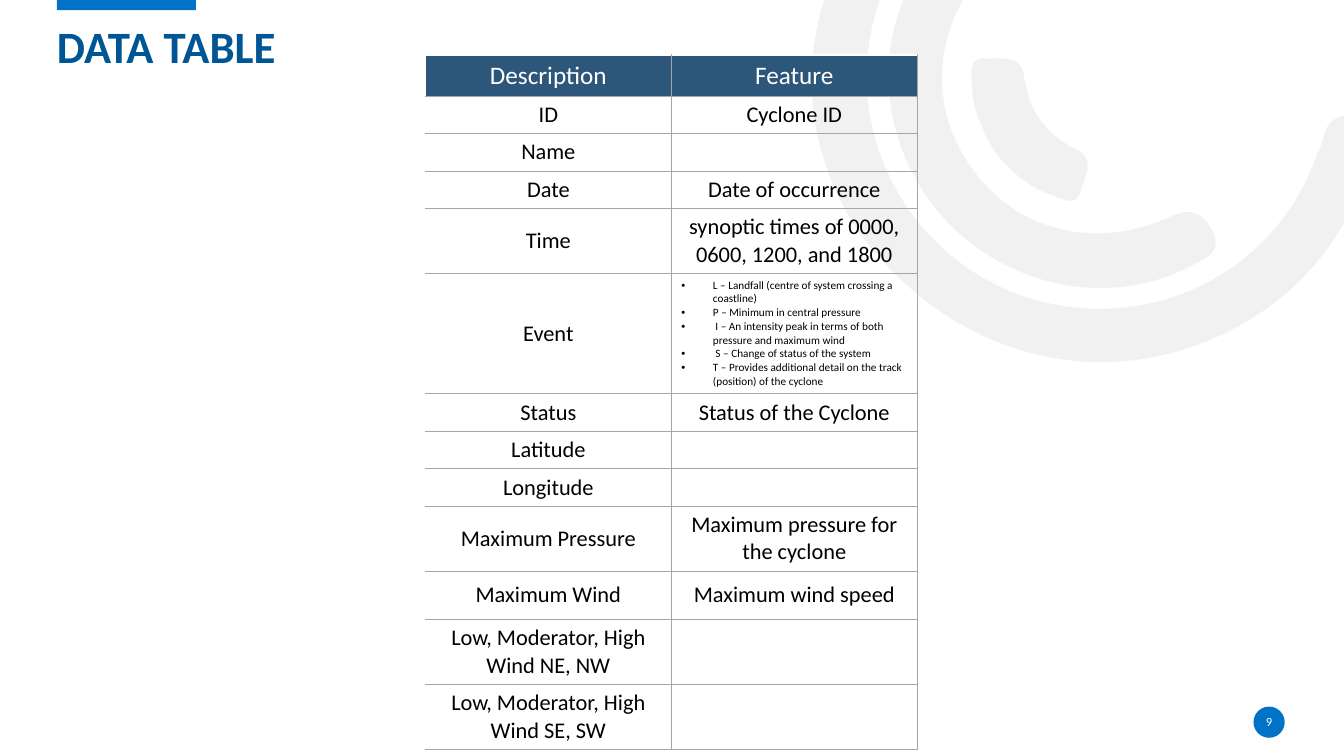
from dataclasses import dataclass

from lxml import etree
from pptx import Presentation
from pptx.dml.color import RGBColor
from pptx.enum.shapes import MSO_SHAPE
from pptx.enum.text import MSO_ANCHOR, MSO_AUTO_SIZE, PP_ALIGN
from pptx.oxml.ns import qn
from pptx.util import Emu, Inches, Pt

RECTANGLE, OVAL = MSO_SHAPE.RECTANGLE, MSO_SHAPE.OVAL
MIDDLE, BOTTOM = MSO_ANCHOR.MIDDLE, MSO_ANCHOR.BOTTOM
LEFT, CENTER = PP_ALIGN.LEFT, PP_ALIGN.CENTER
NO_AUTOFIT = MSO_AUTO_SIZE.NONE

FONT, BULLET_FONT = "Calibri", "Arial"
WHITE, BLACK, BLUE, TITLE_BLUE = "FFFFFF", "000000", "0072C7", "005695"
HEADER_BLUE, RULE_GREY, ARC_GREY = "2C567A", "A6A6A6", "E7E6E6"
ARC_OPACITY = 53
GRID_CELL = Inches(0.1)
BULLET_INDENT = 3.13

Point = tuple[float, float]
Curve = tuple[float, float, float, float, float, float]


@dataclass
class Area:
    column: float
    row: float
    columns: float
    rows: float

    def emu(self) -> tuple[Emu, ...]:
        return tuple(map(grid, (self.column, self.row, self.columns, self.rows)))


@dataclass
class Block:
    preset: int
    area: Area
    color: str
    line: str | None = None


@dataclass
class Arc:
    start: Point
    curves: list[Curve]


@dataclass
class TableRow:
    description: str
    feature: str | list[str] = ""
    height: float = 3


ARCS = [
    Arc((85.1, 22.9), [
        (79.9, 14.9, 78.7, 5, 83.8, -5), (89, -15.2, 97.6, -20.3, 109, -20.7),
        (110.5, -20.7, 112.1, -21, 113.1, -19.5), (114.4, -17.5, 112.7, -15.4, 109.8, -15.4),
        (96.7, -15.4, 86.5, -5.9, 86, 6.8), (85.6, 18.1, 93.6, 28.1, 104.6, 30.2),
        (116, 32.4, 127, 26.1, 130.7, 15.2), (130.9, 14.8, 131.1, 14.4, 131.2, 14),
        (131.6, 11.9, 132.7, 11.1, 134.9, 11.7), (137.3, 12.4, 136.7, 14.1, 136.1, 15.6),
        (133.4, 24.5, 127.8, 30.7, 119.1, 34.1), (107, 38.7, 93.6, 34.5, 85.1, 22.9),
    ]),
    Arc((92.2, 19.9), [
        (86.2, 11.5, 86.9, 0.7, 94, -6.8), (95.1, -7.9, 96.2, -9.5, 98, -7.8),
        (99.5, -6.4, 99.7, -5, 97.9, -3.2), (92.5, 2.6, 92, 10.8, 96.5, 16.8),
        (100.8, 22.9, 108.8, 24.9, 116.1, 21.5), (118.2, 20.5, 119.3, 21.2, 120.3, 22.9),
        (121.3, 25, 119.7, 25.6, 118.3, 26.3), (109.6, 31, 98.3, 28.2, 92.2, 19.9),
    ]),
    Arc((98.7, 15.1), [
        (97.5, 13, 96.4, 10.7, 96.4, 8.2), (96.4, 7.3, 96.1, 5.7, 97.6, 5.8),
        (99.2, 5.9, 101.3, 5.3, 101.6, 7.6), (102.1, 11, 103.6, 13.2, 106.7, 14.8),
        (108.8, 15.7, 107.6, 17.6, 107.2, 18.9), (106.8, 20.6, 105.5, 19.8, 104.5, 19.4),
        (102.1, 18.7, 100.3, 17, 98.7, 15.1),
    ]),
]

BLOCKS = [
    Block(RECTANGLE, Area(5.64, -0.2, 13.8, 1.2), BLUE),
    Block(OVAL, Area(124.35, 70.1, 3.1, 3.1), BLUE),
]
CORNER_COVER = Block(RECTANGLE, Area(3.5, 68, 23.8, 5.4), WHITE, WHITE)

TABLE_AREA = Area(42.2, 5.46, 48.8, 67.8)
TABLE_ROWS = [
    TableRow("Description", "Feature", 3.3),
    TableRow("ID", "Cyclone ID", 3.2),
    TableRow("Name"),
    TableRow("Date", "Date of occurrence"),
    TableRow("Time", "synoptic times of 0000, 0600, 1200, and 1800"),
    TableRow("Event", [
        "L – Landfall (centre of system crossing a coastline)",
        "P – Minimum in central pressure",
        " I – An intensity peak in terms of both pressure and maximum wind",
        " S – Change of status of the system",
        "T – Provides additional detail on the track (position) of the cyclone",
    ]),
    TableRow("Status", "Status of the Cyclone"),
    TableRow("Latitude"),
    TableRow("Longitude"),
    TableRow("Maximum Pressure", "Maximum pressure for the cyclone", 4.8),
    TableRow("Maximum Wind", "Maximum wind speed", 4.8),
    TableRow("Low, Moderator, High Wind NE, NW"),
    TableRow("Low, Moderator, High Wind SE, SW"),
]


def grid(cells: float) -> Emu:
    return Emu(round(cells * GRID_CELL))


def paint(color_format, color: str) -> None:
    color_format.rgb = RGBColor.from_string(color)


def fill_solid(fill, color: str) -> None:
    fill.solid()
    paint(fill.fore_color, color)


def format_spans(para, size: float, color: str, bold: bool = False) -> None:
    for span in para.runs:
        span.font.name, span.font.size, span.font.bold = FONT, Pt(size), bold
        paint(span.font.color, color)


def bend_segments(shape, curves: list[Curve]) -> None:
    segments = list(shape._element.iter(qn("a:lnTo")))
    for segment, curve in zip(segments, curves):
        bend = etree.Element(qn("a:cubicBezTo"))
        for x, y in zip(curve[::2], curve[1::2]):
            etree.SubElement(bend, qn("a:pt"), x=str(grid(x) - shape.left), y=str(grid(y) - shape.top))
        segment.getparent().replace(segment, bend)


def draw_arc(page, arc: Arc) -> None:
    builder = page.shapes.build_freeform(*map(grid, arc.start))
    builder.add_line_segments([(grid(curve[4]), grid(curve[5])) for curve in arc.curves], close=True)
    shape = builder.convert_to_shape()
    bend_segments(shape, arc.curves)
    shape.shadow.inherit = False
    shape.line.fill.background()
    fill_solid(shape.fill, ARC_GREY)
    color = shape._element.spPr.find(".//" + qn("a:srgbClr"))
    etree.SubElement(color, qn("a:alpha"), val=str(ARC_OPACITY * 1000))


def draw_block(page, block: Block) -> None:
    shape = page.shapes.add_shape(block.preset, *block.area.emu())
    shape.shadow.inherit = False
    fill_solid(shape.fill, block.color)
    if block.line:
        paint(shape.line.color, block.line)
        shape.line.width = Pt(1)
    else:
        shape.line.fill.background()


def write_label(box, area: Area, text: str, anchor, align) -> object:
    box.left, box.top, box.width, box.height = area.emu()
    frame = box.text_frame
    frame.text = text
    frame.word_wrap, frame.auto_size, frame.vertical_anchor = True, NO_AUTOFIT, anchor
    frame.margin_left = frame.margin_top = frame.margin_right = frame.margin_bottom = 0
    frame.paragraphs[0].alignment = align
    return frame.paragraphs[0]


def add_border(cell, side: str, color: str, width: float) -> None:
    properties = cell._tc.get_or_add_tcPr()
    line = etree.SubElement(properties, qn(f"a:ln{side}"), w=str(Pt(width)))
    fill = etree.SubElement(line, qn("a:solidFill"))
    etree.SubElement(fill, qn("a:srgbClr"), val=color)


def add_bullet(para) -> None:
    properties = para._p.get_or_add_pPr()
    properties.set("marL", str(grid(BULLET_INDENT)))
    properties.set("indent", str(-grid(BULLET_INDENT)))
    etree.SubElement(properties, qn("a:buFont"), typeface=BULLET_FONT)
    etree.SubElement(properties, qn("a:buChar"), char="•")


def fill_cell(cell, content: str | list[str], is_header: bool, is_first: bool) -> None:
    for side in "LRTB":
        is_white = (side == "L" and is_first) or (side == "T" and is_header)
        add_border(cell, side, *((WHITE, 1) if is_white else (RULE_GREY, 0.5)))
    if is_header:
        fill_solid(cell.fill, HEADER_BLUE)
    else:
        cell.fill.background()
    cell.vertical_anchor = MIDDLE
    is_list = isinstance(content, list)
    cell.text_frame.text = "\n".join(content) if is_list else content
    size = 18 if is_header else 8 if is_list else 16
    for para in cell.text_frame.paragraphs:
        if is_list:
            add_bullet(para)
        else:
            para.alignment = CENTER
        format_spans(para, size, WHITE if is_header else BLACK)
        if not para.runs:
            etree.SubElement(para._p, qn("a:endParaRPr"), sz=str(size * 100))


def draw_table(page) -> None:
    frame = page.shapes.add_table(len(TABLE_ROWS), 2, *TABLE_AREA.emu())
    table = frame.table
    table.horz_banding = False
    for index, row in enumerate(TABLE_ROWS):
        table.rows[index].height = grid(row.height)
        for column, content in enumerate((row.description, row.feature)):
            fill_cell(table.cell(index, column), content, index == 0, column == 0)
    frame.height = grid(TABLE_AREA.rows)


def main() -> None:
    deck = Presentation()
    deck.slide_width, deck.slide_height = grid(133.33), grid(75)
    page = deck.slides.add_slide(deck.slide_layouts[5])
    for arc in ARCS:
        draw_arc(page, arc)
    for block in BLOCKS:
        draw_block(page, block)
    title = write_label(page.shapes.title, Area(5.64, 2.7, 121.9, 4.6), "DATA TABLE", BOTTOM, LEFT)
    title.line_spacing = 0.9
    format_spans(title, 32, TITLE_BLUE, True)
    draw_table(page)
    number_area = Area(124.3, 70.6, 3.2, 2)
    number_box = page.shapes.add_textbox(*number_area.emu())
    format_spans(write_label(number_box, number_area, "9", MIDDLE, CENTER), 9, WHITE)
    draw_block(page, CORNER_COVER)
    deck.save("out.pptx")


if __name__ == "__main__":
    main()
